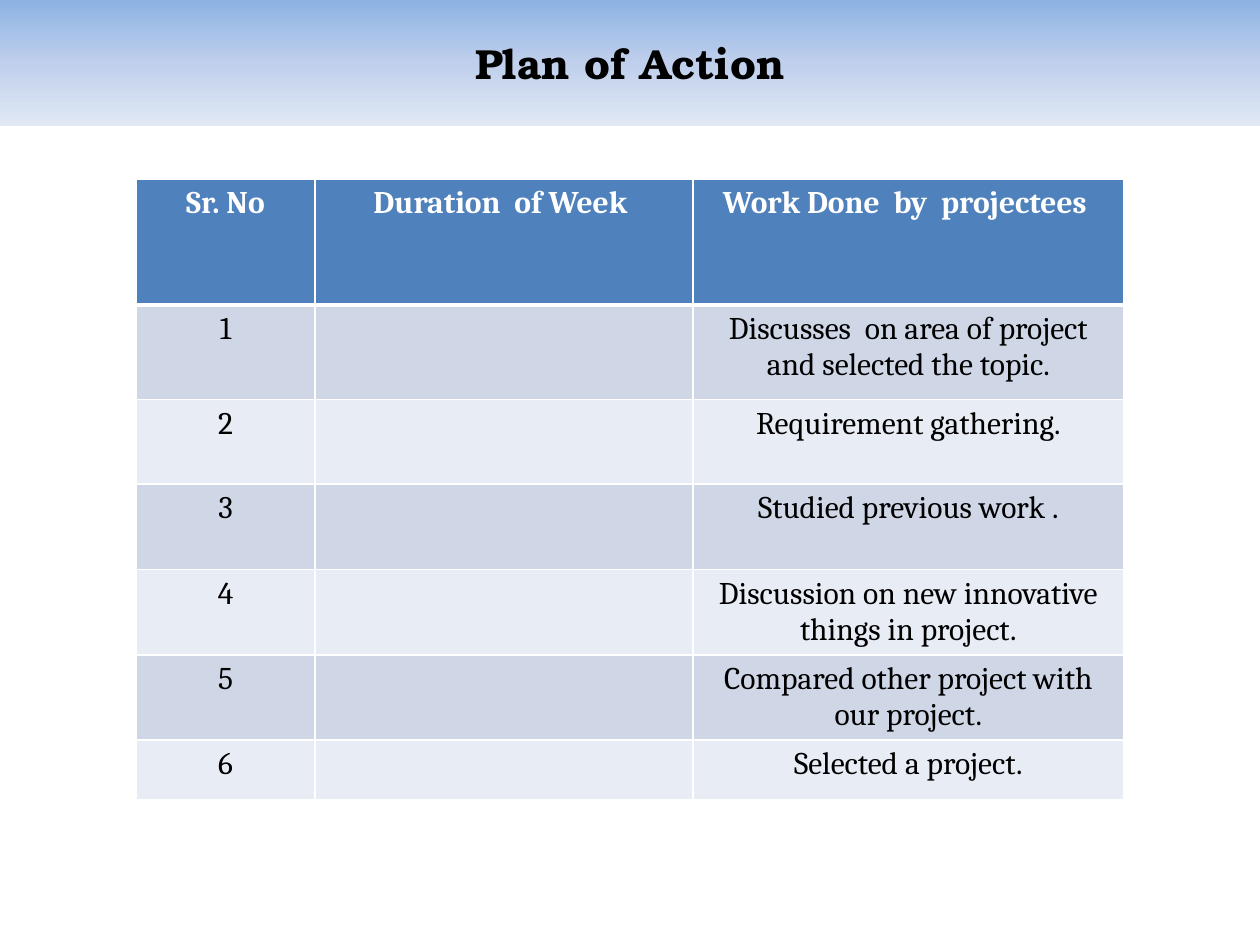
from dataclasses import dataclass

from lxml import etree
from pptx import Presentation
from pptx.dml.color import RGBColor
from pptx.enum.text import MSO_ANCHOR, PP_ALIGN
from pptx.oxml.ns import qn
from pptx.util import Inches, Pt

CENTER = PP_ALIGN.CENTER
MIDDLE = MSO_ANCHOR.MIDDLE


@dataclass(frozen=True)
class Theme:
    title_font: str = "TeX Gyre Bonum"
    table_font: str = "Cambria"
    title_size: int = 24
    table_size: int = 18
    text: str = "000000"
    header_text: str = "FFFFFF"
    header_fill: str = "4F81BD"
    band_fills: tuple[str, str] = ("CFD7E7", "E8ECF4")
    border: str = "FFFFFF"
    border_width: int = 1
    header_rule_width: int = 3
    banner_stops: tuple = ((0, "8CB3E3"), (50, "BFCFEC"), (100, "E0E8F4"))


@dataclass(frozen=True)
class PlanRow:
    number: str
    duration: str
    work: str
    height: float


THEME = Theme()
COLUMN_WIDTHS = (1.42, 3, 3.42)
NUMBER_INDENT = 0.38
PLAN = (
    PlanRow("Sr. No", "Duration  of Week ", "Work Done  by  projectees ", 1),
    PlanRow("1", "", "Discusses  on area of project and selected the topic.", 0.75),
    PlanRow("2", "", "Requirement gathering.", 0.67),
    PlanRow("3", "", "Studied previous work .", 0.68),
    PlanRow("4", "", "Discussion on new innovative things in project.", 0.47),
    PlanRow("5", "", "Compared other project with our project.", 0.47),
    PlanRow("6", "", "Selected a project.", 0.47),
)


def format_text(paragraph, font_name: str, size: int, color: str, bold: bool) -> None:
    paragraph.alignment = CENTER
    for run in paragraph.runs:
        run.font.name = font_name
        run.font.size = Pt(size)
        run.font.bold = bold
        run.font.color.rgb = RGBColor.from_string(color)


def fill_banner(shape) -> None:
    """Give the shape a top-to-bottom gradient with every theme stop."""
    shape.fill.gradient()
    shape.fill.gradient_angle = 270
    stop_list = shape._element.spPr.find(".//" + qn("a:gsLst"))
    for stop in list(stop_list):
        stop_list.remove(stop)
    for percent, color in THEME.banner_stops:
        stop = etree.SubElement(stop_list, qn("a:gs"), pos=str(percent * 1000))
        etree.SubElement(stop, qn("a:srgbClr"), val=color)


def set_borders(cell, top: int, bottom: int) -> None:
    properties = cell._tc.get_or_add_tcPr()
    side = THEME.border_width
    widths = {"a:lnL": side, "a:lnR": side, "a:lnT": top, "a:lnB": bottom}
    for tag, width in widths.items():
        line = etree.SubElement(properties, qn(tag), w=str(Pt(width)))
        fill = etree.SubElement(line, qn("a:solidFill"))
        etree.SubElement(fill, qn("a:srgbClr"), val=THEME.border)


def add_title(slide, width: int) -> None:
    title = slide.shapes.title
    title.left, title.top, title.width, title.height = 0, 0, width, Inches(1)
    fill_banner(title)
    title.text_frame.text = "Plan of Action"
    title.text_frame.vertical_anchor = MIDDLE
    format_text(title.text_frame.paragraphs[0], THEME.title_font,
                THEME.title_size, THEME.text, True)


def fill_cell(cell, text: str, row_index: int) -> None:
    is_header = row_index == 0
    rule, thin = THEME.header_rule_width, THEME.border_width
    set_borders(cell, rule if row_index == 1 else thin, rule if is_header else thin)
    fill = THEME.header_fill if is_header else THEME.band_fills[(row_index - 1) % 2]
    cell.fill.solid()
    cell.fill.fore_color.rgb = RGBColor.from_string(fill)
    if text:
        cell.text_frame.text = text
        color = THEME.header_text if is_header else THEME.text
        format_text(cell.text_frame.paragraphs[0], THEME.table_font,
                    THEME.table_size, color, is_header)


def indent_number(cell) -> None:
    properties = cell.text_frame.paragraphs[0]._p.get_or_add_pPr()
    properties.set("marL", str(Inches(NUMBER_INDENT)))
    properties.set("indent", str(-Inches(NUMBER_INDENT)))


def add_plan_table(slide) -> None:
    height = sum(row.height for row in PLAN)
    table = slide.shapes.add_table(
        len(PLAN), len(COLUMN_WIDTHS), Inches(1.08), Inches(1.42),
        Inches(sum(COLUMN_WIDTHS)), Inches(height)).table
    for column, width in zip(table.columns, COLUMN_WIDTHS):
        column.width = Inches(width)
    for row_index, plan_row in enumerate(PLAN):
        table.rows[row_index].height = Inches(plan_row.height)
        texts = (plan_row.number, plan_row.duration, plan_row.work)
        for column_index, text in enumerate(texts):
            fill_cell(table.cell(row_index, column_index), text, row_index)
        if row_index > 0:
            indent_number(table.cell(row_index, 0))


def main() -> None:
    presentation = Presentation()
    presentation.slide_width = Inches(10)
    presentation.slide_height = Inches(7.5)
    slide = presentation.slides.add_slide(presentation.slide_layouts[0])
    subtitle = slide.placeholders[1]._element
    subtitle.getparent().remove(subtitle)
    add_title(slide, presentation.slide_width)
    add_plan_table(slide)
    presentation.save("out.pptx")


if __name__ == "__main__":
    main()
